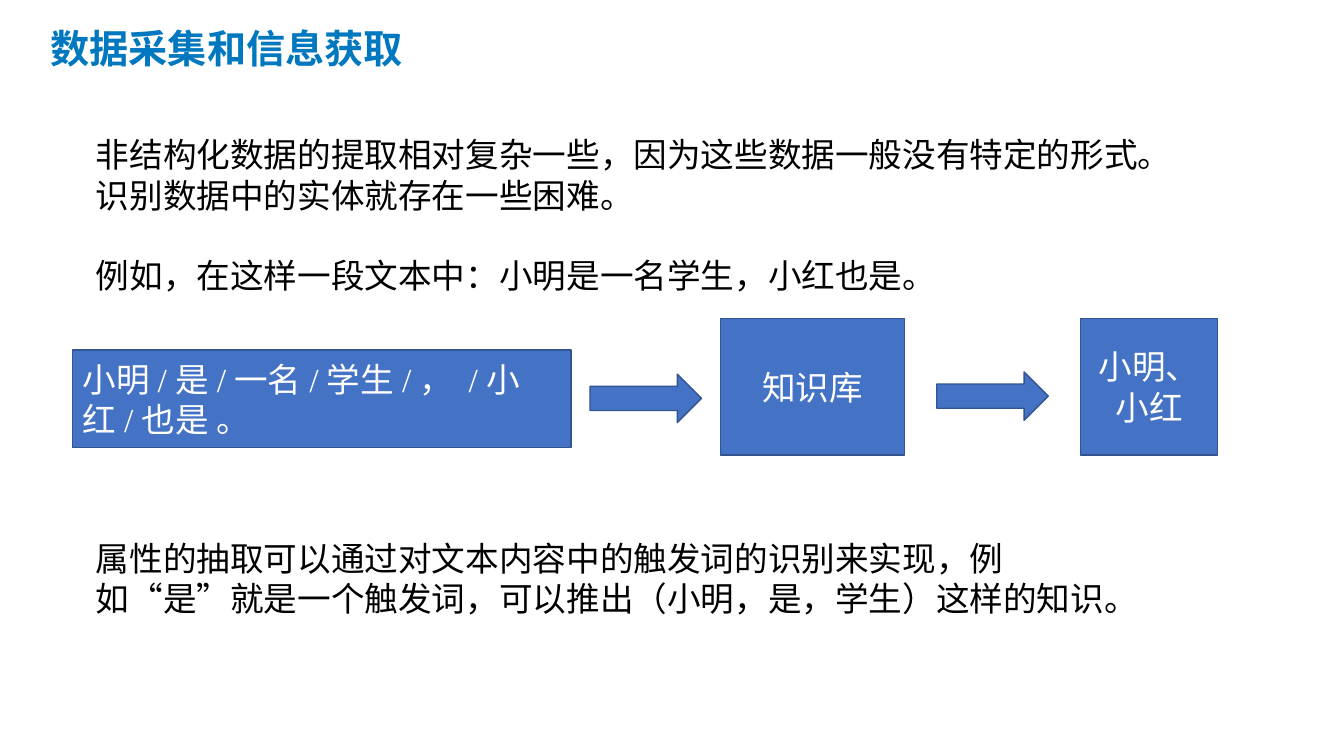
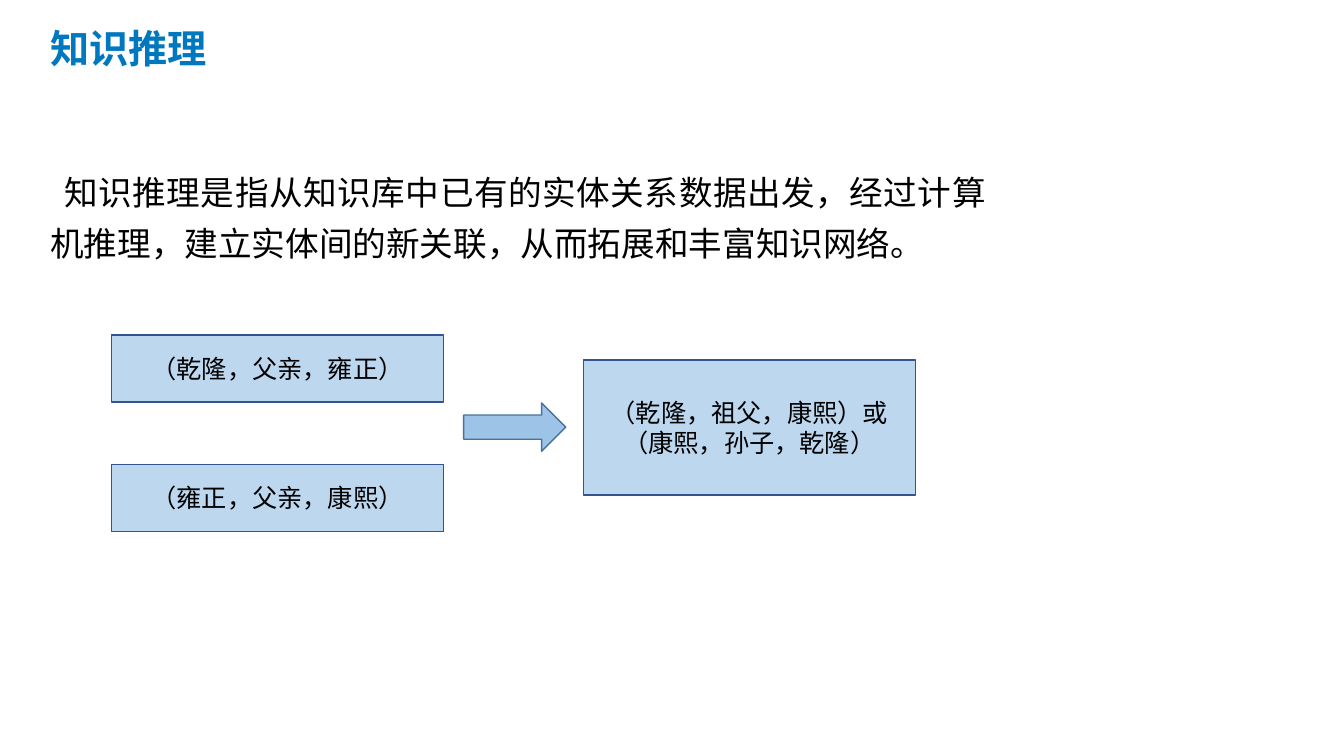
import pptx
import pptx.dml.color
import pptx.enum.shapes
import pptx.enum.text
import pptx.oxml
import pptx.oxml.ns
import pptx.util

RGB = pptx.dml.color.RGBColor
TITLE_BLUE = RGB(0x00, 0x78, 0xBF)
BLACK = RGB(0x00, 0x00, 0x00)
WHITE = RGB(0xFF, 0xFF, 0xFF)
BLUE = RGB(0x44, 0x72, 0xC4)
DARK_BLUE = RGB(0x32, 0x54, 0x91)
PALE_BLUE = RGB(0xBD, 0xD7, 0xEE)
ARROW_BLUE = RGB(0x9D, 0xC3, 0xE6)
ARROW_EDGE = RGB(0x43, 0x73, 0x9E)
SANS = "Noto Sans CJK SC"
SERIF = "Times New Roman"

ALIGN = pptx.enum.text.PP_ALIGN
ANCHOR = pptx.enum.text.MSO_ANCHOR
SHAPE = pptx.enum.shapes.MSO_SHAPE

prs = pptx.Presentation()
prs.slide_width = pptx.util.Inches(13.33)
prs.slide_height = pptx.util.Inches(7.5)


def area(left, top, width, height):
    """Turn percentages of the slide's width and height into lengths."""
    w, h = prs.slide_width / 100, prs.slide_height / 100
    return [int(left * w), int(top * h), int(width * w), int(height * h)]


def write(sp, text, font, size, color, align=ALIGN.LEFT, anchor=ANCHOR.TOP, bold=False):
    tf = sp.text_frame
    tf.word_wrap = True
    tf.vertical_anchor = anchor
    tf.text = text
    for p in tf.paragraphs:
        p.alignment = align
        for r in p.runs:
            r.font.name = font
            r.font.size = pptx.util.Pt(size)
            r.font.bold = bold
            r.font.color.rgb = color
            # Chinese characters take their font from a:ea, after a:latin
            ea = pptx.oxml.parse_xml(f'<a:ea {pptx.oxml.ns.nsdecls("a")} typeface="{SANS}"/>')
            r.font._element.find(pptx.oxml.ns.qn("a:latin")).addnext(ea)


# The layout holds the title's place for both slides
layout = prs.slide_layouts.get_by_name("Title Only")
title = layout.placeholders[0]
title.left, title.top, title.width, title.height = area(3, 2.5, 94, 7.6)

# Paragraphs: place, text, font
# Boxes: place, text, font, alignment
# Arrows: place
slides = [
    {
        "title": "数据采集和信息获取",
        "paragraphs": [
            ((6.4, 17.1, 80.6, 12.1),
             "非结构化数据的提取相对复杂一些，因为这些数据一般没有特定的形式。识别数据中的实体就存在一些困难。", SERIF),
            ((6.4, 33.1, 80.6, 6.7), "例如，在这样一段文本中：小明是一名学生，小红也是。", SERIF),
            ((6.4, 70.5, 79.3, 12.1),
             "属性的抽取可以通过对文本内容中的触发词的识别来实现，例如“是”就是一个触发词，可以推出（小明，是，学生）这样的知识。", SANS),
        ],
        "boxes": [
            ((5.4, 46.3, 37.1, 12.9), "小明/是/一名/学生/， /小红/也是 。", SERIF, ALIGN.LEFT),
            ((53.6, 42.1, 13.7, 18.1), "知识库", SANS, ALIGN.CENTER),
            ((80.4, 42.1, 10.2, 18.1), "小明、小红", SANS, ALIGN.CENTER),
        ],
        "arrows": [(43.9, 49.5, 8.3, 6.4), (69.7, 49.2, 8.3, 6.4)],
        "box_style": (BLUE, DARK_BLUE),
        "arrow_style": (BLUE, DARK_BLUE),
        "box_text": (24, WHITE),
    },
    {
        "title": "知识推理",
        "paragraphs": [
            ((3, 20.8, 71.1, 14.1),
             "知识推理是指从知识库中已有的实体关系数据出发，经过计算机推理，建立实体间的新关联，从而拓展和丰富知识网络。", SERIF),
        ],
        "boxes": [
            ((8.3, 44.3, 24.7, 8.9), "（乾隆，父亲，雍正）", SERIF, ALIGN.CENTER),
            ((8.3, 61.4, 24.7, 8.9), "（雍正，父亲，康熙）", SERIF, ALIGN.CENTER),
            ((43.4, 47.6, 24.7, 17.9), "（乾隆，祖父，康熙）或\n（康熙，孙子，乾隆）", SERIF, ALIGN.CENTER),
        ],
        "arrows": [(34.5, 53.3, 7.6, 6.4)],
        "box_style": (PALE_BLUE, DARK_BLUE),
        "arrow_style": (ARROW_BLUE, ARROW_EDGE),
        "box_text": (18, BLACK),
    },
]

for content in slides:
    s = prs.slides.add_slide(layout)
    write(s.shapes.title, content["title"], SANS, 28, TITLE_BLUE, bold=True)

    for place, text, font in content["paragraphs"]:
        body = s.shapes.add_textbox(*area(*place))
        write(body, text, font, 24, BLACK)

    shapes = []
    for place, text, font, align in content["boxes"]:
        box = s.shapes.add_shape(SHAPE.RECTANGLE, *area(*place))
        size, color = content["box_text"]
        write(box, text, font, size, color, align, ANCHOR.MIDDLE)
        shapes.append((box, content["box_style"]))
    for place in content["arrows"]:
        arrow = s.shapes.add_shape(SHAPE.RIGHT_ARROW, *area(*place))
        shapes.append((arrow, content["arrow_style"]))

    for sp, (fill, edge) in shapes:
        sp.shadow.inherit = False
        sp.fill.solid()
        sp.fill.fore_color.rgb = fill
        sp.line.color.rgb = edge
        sp.line.width = pptx.util.Pt(1)

# The definition on the last slide is justified, with an indented first line
p = body.text_frame.paragraphs[0]
p.alignment = ALIGN.JUSTIFY
p.line_spacing = 1.25
p._p.get_or_add_pPr().set("indent", str(pptx.util.Inches(0.14)))

prs.save("out.pptx")
